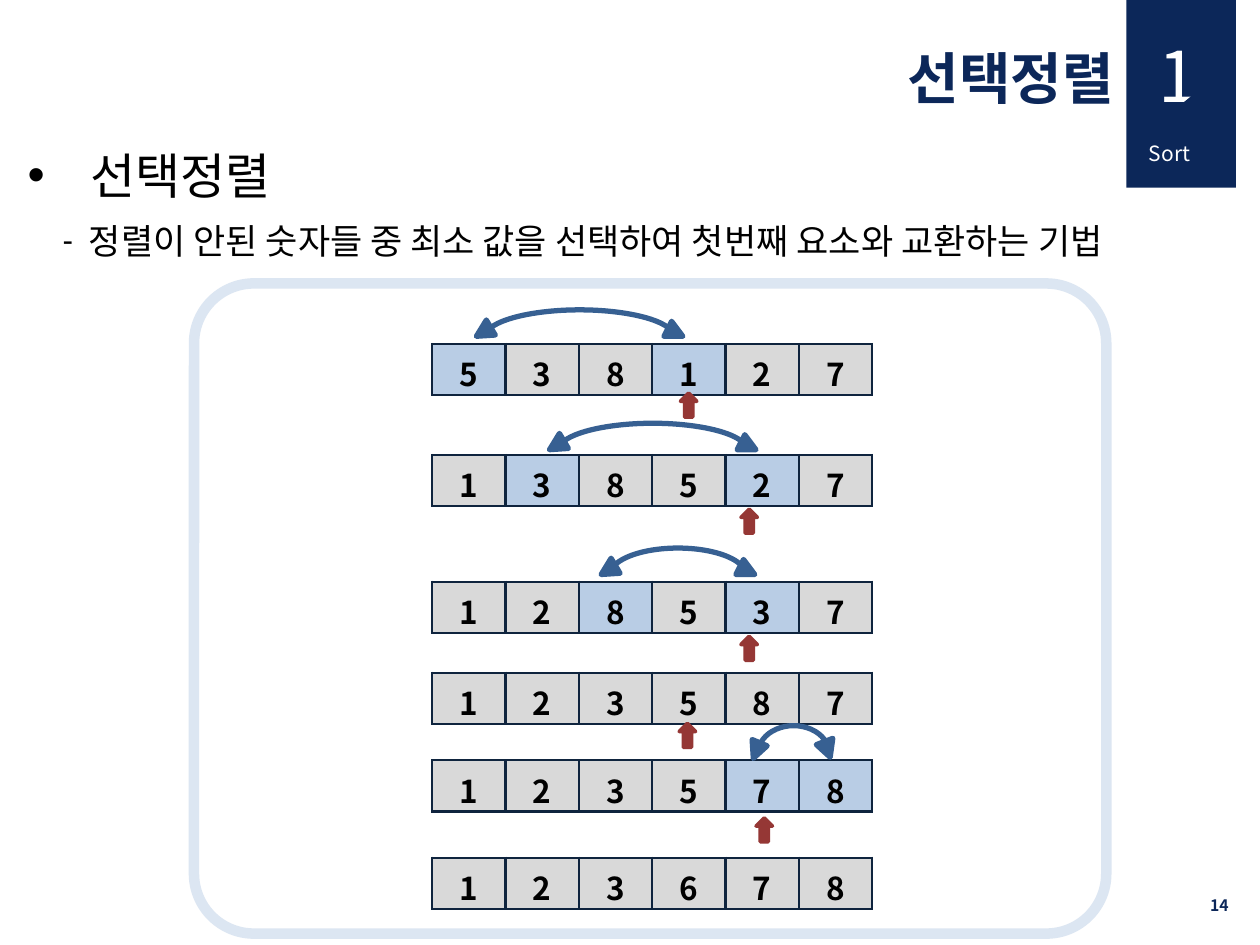
from lxml import etree
from pptx import Presentation
from pptx.dml.color import RGBColor
from pptx.enum.shapes import MSO_SHAPE
from pptx.enum.text import MSO_ANCHOR, MSO_AUTO_SIZE, PP_ALIGN
from pptx.oxml.ns import qn
from pptx.util import Pt

LEFT, MID, RIGHT = PP_ALIGN.LEFT, PP_ALIGN.CENTER, PP_ALIGN.RIGHT
TOP, CENTER = MSO_ANCHOR.TOP, MSO_ANCHOR.MIDDLE
FIXED = MSO_AUTO_SIZE.NONE
RECT, ROUND = MSO_SHAPE.RECTANGLE, MSO_SHAPE.ROUNDED_RECTANGLE
WEDGE, ARC, DOWN = MSO_SHAPE.ISOSCELES_TRIANGLE, MSO_SHAPE.ARC, MSO_SHAPE.DOWN_ARROW
FONT = "Noto Sans CJK KR"
COLORS = {"navy": "0C2759", "white": "FFFFFF", "black": "000000",
          "frame": "DCE6F2", "edge": "0F243E", "cell": "D9D9D9",
          "pick": "B9CDE5", "swap": "376092", "mark": "953735"}


def write(para, text, size, color="black", bold=False, align=LEFT):
    """Put one formatted run into a paragraph."""
    para.alignment = align
    run = para.add_run()
    run.text = text
    run.font.size = Pt(size)
    run.font.bold = bold
    run.font.name = FONT
    run.font.color.rgb = RGBColor.from_string(COLORS[color])
    etree.SubElement(run._r.get_or_add_rPr(), qn("a:ea"), typeface=FONT)


def paint(shape, fill=None, line=None, width=0):
    """Set fill and line of a shape and drop its shadow."""
    shape.shadow.inherit = False
    if fill:
        shape.fill.solid()
        shape.fill.fore_color.rgb = RGBColor.from_string(COLORS[fill])
    else:
        shape.fill.background()
    if line:
        shape.line.color.rgb = RGBColor.from_string(COLORS[line])
        shape.line.width = Pt(width)
    else:
        shape.line.fill.background()


deck = Presentation()
deck.slide_width, deck.slide_height = Pt(720), Pt(540)
slide = deck.slides.add_slide(deck.slide_layouts[1])
shapes = slide.shapes
title, body = slide.placeholders

# Title and list
for holder, box, anchor in [(title, (541.4, 20.9, 226.8, 46), CENTER),
                            (body, (8.6, 72.7, 711.4, 112.3), TOP)]:
    holder.left, holder.top, holder.width, holder.height = map(Pt, box)
    holder.text_frame.auto_size = FIXED
    holder.text_frame.vertical_anchor = anchor
title.left, title.width = Pt(416.9), Pt(226.8)
write(title.text_frame.paragraphs[0], "선택정렬", 32, "navy", True, RIGHT)

items = [("선택정렬", 28, "•", 36, 36, 100),
         ("정렬이 안된 숫자들 중 최소 값을 선택하여 첫번째 요소와 교환하는 기법",
          20, "-", 35, 15, 90)]
for i, (text, size, mark, margin, hang, scale) in enumerate(items):
    para = body.text_frame.add_paragraph() if i else body.text_frame.paragraphs[0]
    write(para, text, size)
    para.line_spacing = 1.2
    prop = para._p.get_or_add_pPr()
    prop.set("marL", str(Pt(margin)))
    prop.set("indent", str(-Pt(hang)))
    etree.SubElement(prop, qn("a:buSzPct"), val=str(scale * 1000))
    etree.SubElement(prop, qn("a:buChar"), char=mark)

# Chapter tab and page number
tab = shapes.add_shape(RECT, Pt(643.7), Pt(0), Pt(62.6), Pt(107.3))
paint(tab, "navy")
labels = [("14", (541.4, 502.6, 167.8, 28.8), 9, "navy", True, RIGHT),
          ("Sort", (649.4, 77, 56.9, 21.6), 12, "white", False, LEFT),
          ("1", (655.2, 15.1, 45.4, 55.4), 40, "white", False, LEFT)]
for text, box, size, color, bold, align in labels:
    frame = shapes.add_textbox(*map(Pt, box)).text_frame
    frame.word_wrap = True
    frame.vertical_anchor = CENTER
    write(frame.paragraphs[0], text, size, color, bold, align)
wedge = shapes.add_shape(WEDGE, Pt(661), Pt(43.2), Pt(33.8), Pt(28.1))
wedge.adjustments[0] = 1
paint(wedge, "navy")

panel = shapes.add_shape(ROUND, Pt(110.9), Pt(162), Pt(521.3), Pt(371.5))
panel.adjustments[0] = 0.092
paint(panel, line="frame", width=6)

# Sorting steps: top, values, picked columns
steps = [(196.6, "538127", (0, 3)), (260, "138527", (1, 4)),
         (332.4, "128537", (2, 4)), (384.4, "123587", ()),
         (434.4, "123578", (4, 5)), (490.2, "123678", ())]
for top, values, picks in steps:
    grid = shapes.add_table(1, 6, Pt(247), Pt(top), Pt(251.4), Pt(29.3)).table
    grid.first_row = grid.horz_banding = False
    for col, value in enumerate(values):
        grid.columns[col].width = Pt(41.9)
        cell = grid.cell(0, col)
        cell.margin_top, cell.margin_bottom = Pt(3.6), Pt(0)
        write(cell.text_frame.paragraphs[0], value, 18, bold=True, align=MID)
        prop = cell._tc.get_or_add_tcPr()
        for side in ("lnL", "lnR", "lnT", "lnB"):
            line = etree.SubElement(prop, qn("a:" + side), w=str(Pt(1.5)))
            fill = etree.SubElement(line, qn("a:solidFill"))
            etree.SubElement(fill, qn("a:srgbClr"), val=COLORS["edge"])
        cell.fill.solid()
        tone = "pick" if col in picks else "cell"
        cell.fill.fore_color.rgb = RGBColor.from_string(COLORS[tone])

# Swap arcs; arrowhead corners are offsets from the arc's upper corners
wide = ([(0.7, 5.8), (-5, 15.1), (5.8, 14.4)],
        [(-5.8, 15.1), (5, 15.1), (-1.4, 6.5)])
tight = ([(-3.6, 7.9), (-2.9, 18.7), (5, 11.5)],
         [(-7.2, 10.8), (0.7, 18), (2.2, 7.2)])
swaps = [(277.2, 177.1, 108, wide), (319, 241.9, 108, wide),
         (348.5, 313.2, 77.8, wide), (433.4, 414.7, 40.3, tight)]
for left, top, width, heads in swaps:
    for edge, head in zip((left, left + width), heads):
        spots = [(Pt(edge + x), Pt(top + y)) for x, y in head]
        pen = shapes.build_freeform(*spots[0])
        pen.add_line_segments(spots[1:], close=True)
        paint(pen.convert_to_shape(), "swap", "swap", 3)
    arc = shapes.add_shape(ARC, Pt(left), Pt(top), Pt(width), Pt(31))
    arc.adjustments[0], arc.adjustments[1] = 111.123, 212.613
    paint(arc, line="swap", width=3)

# Minimum markers
for left, top in [(388.8, 224.6), (423.4, 290.9), (423.4, 363.6),
                  (388.1, 413.3), (432, 467.3)]:
    mark = shapes.add_shape(DOWN, Pt(left), Pt(top), Pt(9.4), Pt(13.7))
    mark.rotation = 180
    paint(mark, "mark", "mark", 2)

deck.save("out.pptx")
